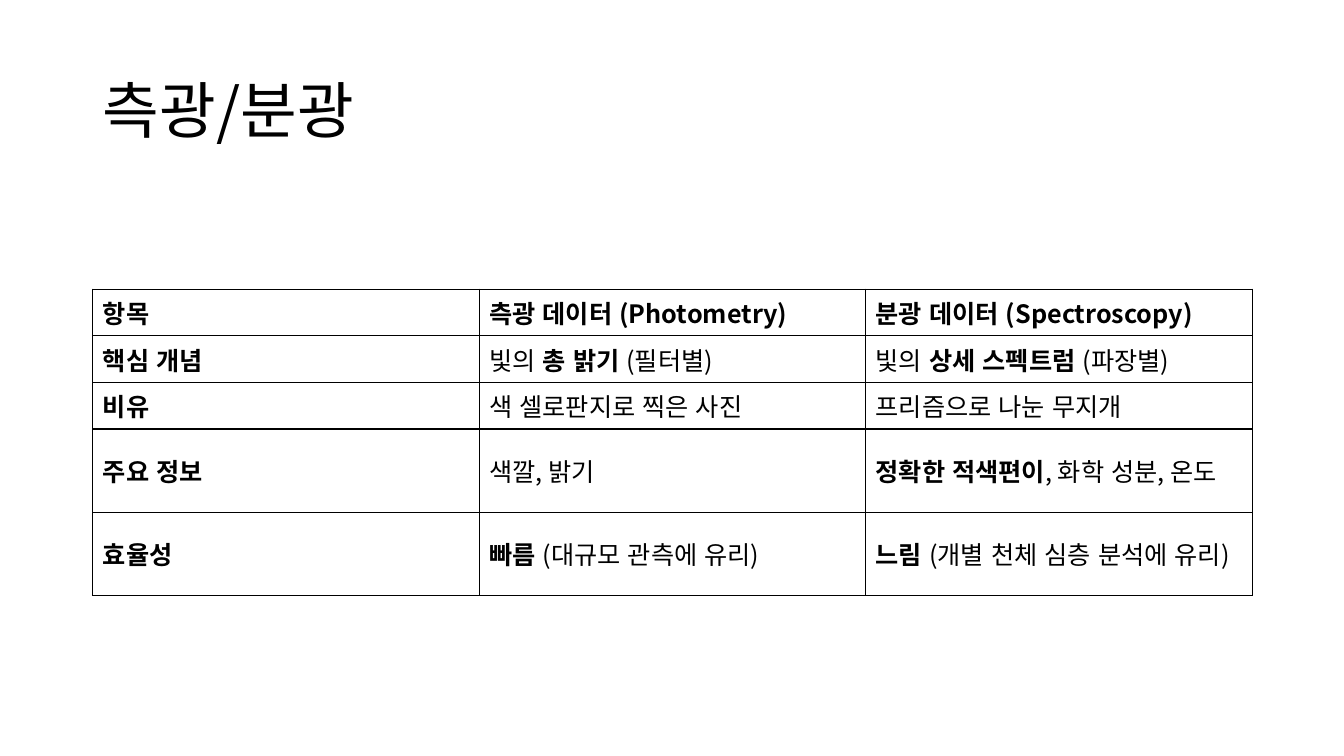
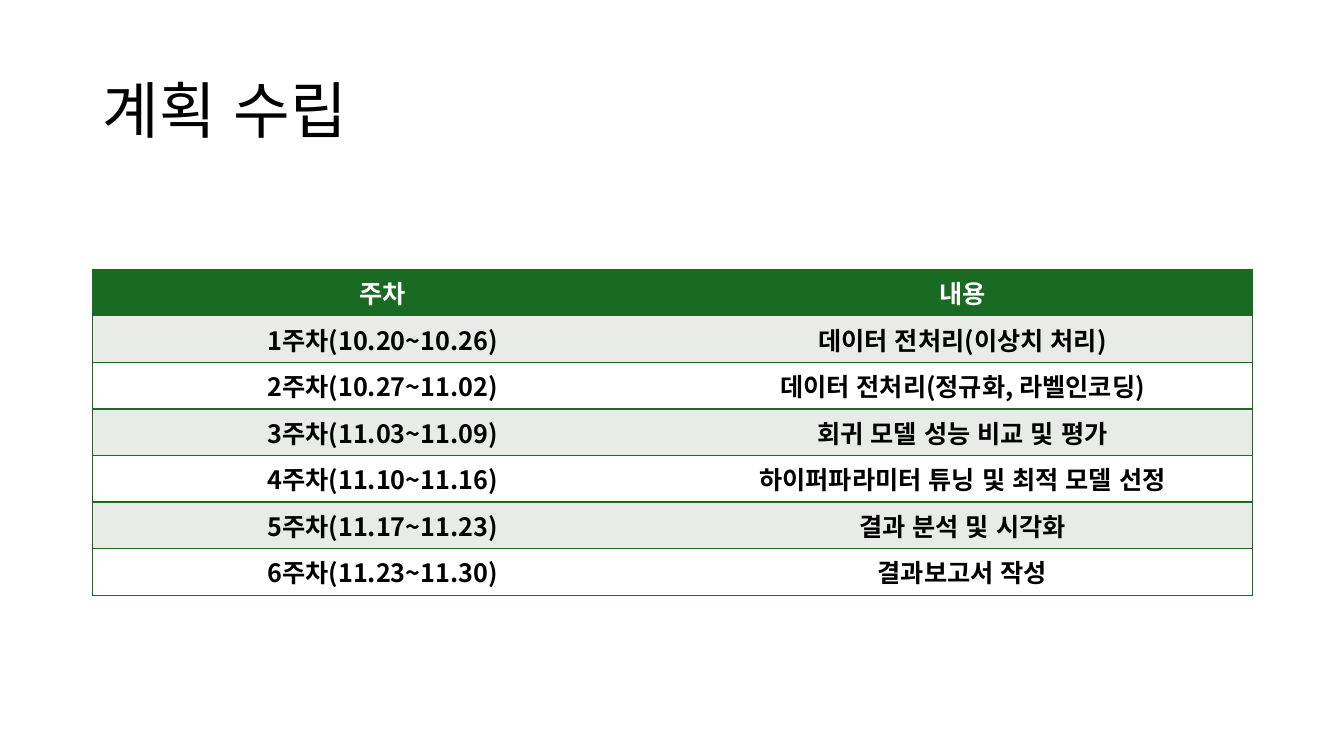
from lxml import etree
from pptx import Presentation
from pptx import util as u
from pptx.dml.color import RGBColor
from pptx.enum import lang, text
from pptx.oxml import ns

FONT = "Noto Sans CJK KR"
BLACK = RGBColor(0x00, 0x00, 0x00)
WHITE = RGBColor(0xFF, 0xFF, 0xFF)
GREEN = RGBColor(0x19, 0x6B, 0x24)
PALE_GREEN = RGBColor(0xE8, 0xEB, 0xE8)
NO_STYLE = "{2D5ABB26-0587-4C30-8999-92F81FD0307C}"
LEFT = 0.92
CONTENT_WIDTH = 11.5
ROW_HEIGHT = 0.46
TALL_ROW_HEIGHT = 0.82
BOLD_MARK = "**"

COMPARISON = [
    ["**항목**", "**측광 데이터 (Photometry)**", "**분광 데이터 (Spectroscopy)**"],
    ["**핵심 개념**", "빛의 **총 밝기 **(필터별)", "빛의 **상세 스펙트럼 **(파장별)"],
    ["**비유**", "색 셀로판지로 찍은 사진", "프리즘으로 나눈 무지개"],
    ["**주요 정보**", "색깔, 밝기", "**정확한 적색편이**, 화학 성분, 온도"],
    ["**효율성**", "**빠름 **(대규모 관측에 유리)", "**느림 **(개별 천체 심층 분석에 유리)"],
]
SCHEDULE = [
    ["**주차**", "**내용**"],
    ["**1주차(10.20~10.26)**", "**데이터 전처리(이상치 처리)**"],
    ["**2주차(10.27~11.02)**", "**데이터 전처리(정규화, 라벨인코딩)**"],
    ["**3주차(11.03~11.09)**", "**회귀 모델 성능 비교 및 평가**"],
    ["**4주차(11.10~11.16)**", "**하이퍼파라미터 튜닝 및 최적 모델 선정**"],
    ["**5주차(11.17~11.23)**", "**결과 분석 및 시각화**"],
    ["**6주차(11.23~11.30)**", "**결과보고서 작성**"],
]


def write_text(paragraph, marked_text, size=18, color=BLACK,
               align=text.PP_ALIGN.LEFT, line_spacing=1.0):
    paragraph.alignment = align
    paragraph.line_spacing = line_spacing
    for index, part in enumerate(marked_text.split(BOLD_MARK)):
        if not part:
            continue
        run = paragraph.add_run()
        run.text = part
        font = run.font
        font.name, font.size, font.bold = FONT, u.Pt(size), index % 2 == 1
        font.color.rgb = color
        font.language_id = lang.MSO_LANGUAGE_ID.KOREAN
        latin = font._element.find(ns.qn("a:latin"))
        east_asian = etree.Element(ns.qn("a:ea"), typeface=FONT)
        latin.addnext(east_asian)


def add_titled_slide(presentation, title):
    slide = presentation.slides.add_slide(presentation.slide_layouts[5])
    shape = slide.shapes.title
    shape.left, shape.top = u.Inches(LEFT), u.Inches(0.4)
    shape.width, shape.height = u.Inches(CONTENT_WIDTH), u.Inches(1.45)
    frame = shape.text_frame
    frame.auto_size = text.MSO_AUTO_SIZE.NONE
    frame.vertical_anchor = text.MSO_ANCHOR.MIDDLE
    write_text(frame.paragraphs[0], title, size=44, line_spacing=0.9)
    return slide


def draw_borders(cell, sides, color):
    properties = cell._tc.get_or_add_tcPr()
    for side in sides:
        line = etree.SubElement(properties, ns.qn(f"a:ln{side}"), w=str(u.Pt(1)))
        fill = etree.SubElement(line, ns.qn("a:solidFill"))
        etree.SubElement(fill, ns.qn("a:srgbClr"), val=str(color))


def add_plain_table(slide, rows, top, heights):
    frame = slide.shapes.add_table(
        len(rows), len(rows[0]), u.Inches(LEFT), u.Inches(top),
        u.Inches(CONTENT_WIDTH), u.Inches(sum(heights)))
    for style in frame._element.iter(ns.qn("a:tableStyleId")):
        style.text = NO_STYLE
    table = frame.table
    table.horz_banding = False
    for row, height in zip(table.rows, heights):
        row.height = u.Inches(height)
    return table


def add_comparison_table(slide):
    heights = [ROW_HEIGHT] * 3 + [TALL_ROW_HEIGHT] * 2
    table = add_plain_table(slide, COMPARISON, 2.87, heights)
    for row, values in zip(table.rows, COMPARISON):
        for cell, value in zip(row.cells, values):
            cell.vertical_anchor = text.MSO_ANCHOR.MIDDLE
            draw_borders(cell, "LRTB", BLACK)
            cell.fill.background()
            write_text(cell.text_frame.paragraphs[0], value)


def add_schedule_table(slide):
    table = add_plain_table(slide, SCHEDULE, 2.67, [ROW_HEIGHT] * len(SCHEDULE))
    for index, (row, values) in enumerate(zip(table.rows, SCHEDULE)):
        is_header = index == 0
        fill = GREEN if is_header else (WHITE, PALE_GREEN)[index % 2]
        for cell, value, sides in zip(row.cells, values, ("LTB", "RTB")):
            draw_borders(cell, sides, GREEN)
            cell.fill.solid()
            cell.fill.fore_color.rgb = fill
            write_text(cell.text_frame.paragraphs[0], value,
                       color=WHITE if is_header else BLACK,
                       align=text.PP_ALIGN.CENTER)


def main():
    presentation = Presentation()
    presentation.slide_width = u.Inches(13.33)
    presentation.slide_height = u.Inches(7.5)
    add_comparison_table(add_titled_slide(presentation, "측광/분광"))
    add_schedule_table(add_titled_slide(presentation, "계획 수립"))
    presentation.save("out.pptx")


if __name__ == "__main__":
    main()
